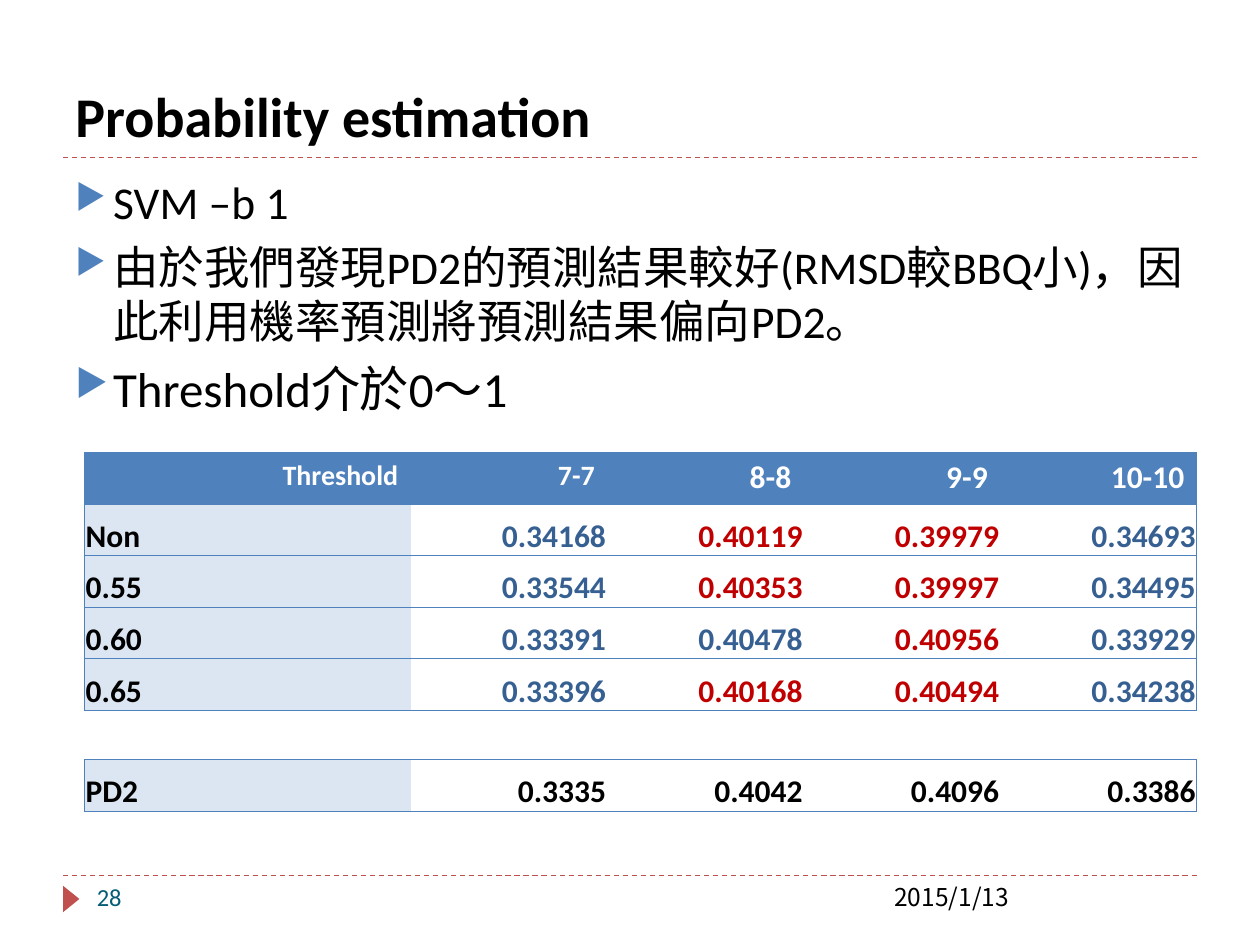
"""Build the probability estimation slide with its two result tables."""
from dataclasses import dataclass

from lxml.etree import SubElement
from pptx import Presentation
from pptx.dml.color import RGBColor
from pptx.enum.dml import MSO_LINE
from pptx.enum.shapes import MSO_CONNECTOR, MSO_SHAPE
from pptx.enum.text import MSO_ANCHOR, PP_ALIGN
from pptx.oxml.ns import qn
from pptx.util import Inches, Pt


@dataclass(frozen=True)
class Theme:
    font: str = "Calibri"
    cjk: str = "Noto Sans CJK SC"
    black: str = "000000"
    white: str = "FFFFFF"
    blue: str = "4F81BD"
    pale: str = "DCE6F2"
    navy: str = "376092"
    red: str = "C00000"
    brick: str = "C0504D"
    teal: str = "045C75"
    title: int = 32
    body: int = 26
    large: int = 28
    cell: int = 18
    head: int = 16
    foot: int = 14
    rule: float = 0.75


THEME = Theme()
HEADS = ["Threshold", "7-7", "8-8", "9-9", "10-10"]
ROWS = [
    ["Non", "0.34168", "0.40119", "0.39979", "0.34693"],
    ["0.55", "0.33544", "0.40353", "0.39997", "0.34495"],
    ["0.60", "0.33391", "0.40478", "0.40956", "0.33929"],
    ["0.65", "0.33396", "0.40168", "0.40494", "0.34238"],
]
REDS = {"0.40119", "0.39979", "0.40353", "0.39997", "0.40956", "0.40168", "0.40494"}
TOTAL = ["PD2", "0.3335", "0.4042", "0.4096", "0.3386"]
POINTS = [
    ("SVM –b 1", THEME.body),
    ("由於我們發現PD2的預測結果較好(RMSD較BBQ小)，因此利用機率預測將預測結果偏向PD2。", THEME.body),
    ("Threshold介於0～1", THEME.large),
]


def style(para, size, color, bold=False, face=THEME.font):
    for run in para.runs:
        run.font.size = Pt(size)
        run.font.bold = bold
        run.font.name = face
        run.font.color.rgb = RGBColor.from_string(color)


def add_text(slide, box, text, size, color, bold=False, face=THEME.font):
    frame = slide.shapes.add_textbox(*map(Inches, box)).text_frame
    frame.word_wrap = True
    frame.text = text
    style(frame.paragraphs[0], size, color, bold, face)
    return frame


def add_rule(slide, top):
    line = slide.shapes.add_connector(
        MSO_CONNECTOR.STRAIGHT, Inches(0.5), Inches(top), Inches(9.5), Inches(top))
    line.line.color.rgb = RGBColor.from_string(THEME.brick)
    line.line.width = Pt(THEME.rule)
    line.line.dash_style = MSO_LINE.DASH
    SubElement(line._element.spPr, qn("a:effectLst"))


def add_mark(slide):
    mark = slide.shapes.add_shape(
        MSO_SHAPE.ISOSCELES_TRIANGLE, *map(Inches, (0.46, 7.07, 0.21, 0.13)))
    mark.rotation = 90
    mark.shadow.inherit = False
    mark.fill.solid()
    mark.fill.fore_color.rgb = RGBColor.from_string(THEME.brick)
    mark.line.fill.background()


def add_bullet(para):
    props = para._p.get_or_add_pPr()
    props.set("marL", str(Inches(0.3)))
    props.set("indent", str(-Inches(0.3)))
    color = SubElement(props, qn("a:buClr"))
    SubElement(color, qn("a:srgbClr"), val=THEME.blue)
    SubElement(props, qn("a:buSzPct"), val="76000")
    SubElement(props, qn("a:buChar"), char="▶")


def add_points(slide):
    frame = slide.shapes.add_textbox(*map(Inches, (0.5, 1.33, 9, 5.4))).text_frame
    frame.word_wrap = True
    for num, (text, size) in enumerate(POINTS):
        para = frame.add_paragraph() if num else frame.paragraphs[0]
        para.text = text
        add_bullet(para)
        if num:
            para.space_before = Pt(6)
        style(para, size, THEME.black)


def set_edges(cell, sides):
    props = cell._tc.get_or_add_tcPr()
    for spot, side in enumerate("LRTB"):
        edge = props.makeelement(qn(f"a:ln{side}"), {"w": str(Pt(THEME.rule))})
        props.insert(spot, edge)
        if side in sides:
            fill = SubElement(edge, qn("a:solidFill"))
            SubElement(fill, qn("a:srgbClr"), val=THEME.blue)
        else:
            SubElement(edge, qn("a:noFill"))


def set_cell(cell, text, size, color, fill, right):
    cell.text = text
    para = cell.text_frame.paragraphs[0]
    para.alignment = PP_ALIGN.RIGHT if right else PP_ALIGN.LEFT
    style(para, size, color, True)
    if fill:
        cell.fill.solid()
        cell.fill.fore_color.rgb = RGBColor.from_string(fill)
    else:
        cell.fill.background()


def set_tight(cell):
    cell.vertical_anchor = MSO_ANCHOR.BOTTOM
    cell.margin_left = cell.margin_right = cell.margin_top = Inches(0.01)
    cell.margin_bottom = 0


def add_grid(slide, top, rows, pick, head=False):
    shape = slide.shapes.add_table(
        len(rows), len(HEADS), *map(Inches, (0.67, top, 8.83, 0.41 * len(rows))))
    grid = shape.table
    grid.first_row = grid.horz_banding = False
    for col, part in enumerate(grid.columns):
        part.width = Inches(1.56 if col else 2.59)
    for row, texts in enumerate(rows):
        for col, text in enumerate(texts):
            cell = grid.cell(row, col)
            if head and row == 0:
                size = THEME.head if col < 2 else THEME.cell
                set_cell(cell, text, size, THEME.white, THEME.blue, True)
            else:
                color = pick(text) if col else THEME.black
                fill = None if col else THEME.pale
                set_cell(cell, text, THEME.cell, color, fill, col > 0)
                set_tight(cell)
            ends = {0: "L", len(texts) - 1: "R"}
            set_edges(cell, "TB" + ends.get(col, ""))


def main():
    deck = Presentation()
    deck.slide_width, deck.slide_height = Inches(10), Inches(7.5)
    slide = deck.slides.add_slide(deck.slide_layouts[6])
    for top in (6.95, 1.25):
        add_rule(slide, top)
    add_mark(slide)
    add_text(slide, (7, 6.95, 2.5, 0.4), "2015/1/13", THEME.foot, THEME.black, face=THEME.cjk)
    add_text(slide, (0.67, 6.95, 2.17, 0.4), "28", THEME.foot, THEME.teal)
    title = add_text(slide, (0.5, 0.17, 4.89, 1.06), "Probability estimation",
                     THEME.title, THEME.black, True)
    title.vertical_anchor = MSO_ANCHOR.BOTTOM
    add_points(slide)
    add_grid(slide, 3.59, [HEADS, *ROWS],
             lambda text: THEME.red if text in REDS else THEME.navy, True)
    add_grid(slide, 6.03, [TOTAL], lambda text: THEME.black)
    deck.save("out.pptx")


if __name__ == "__main__":
    main()
